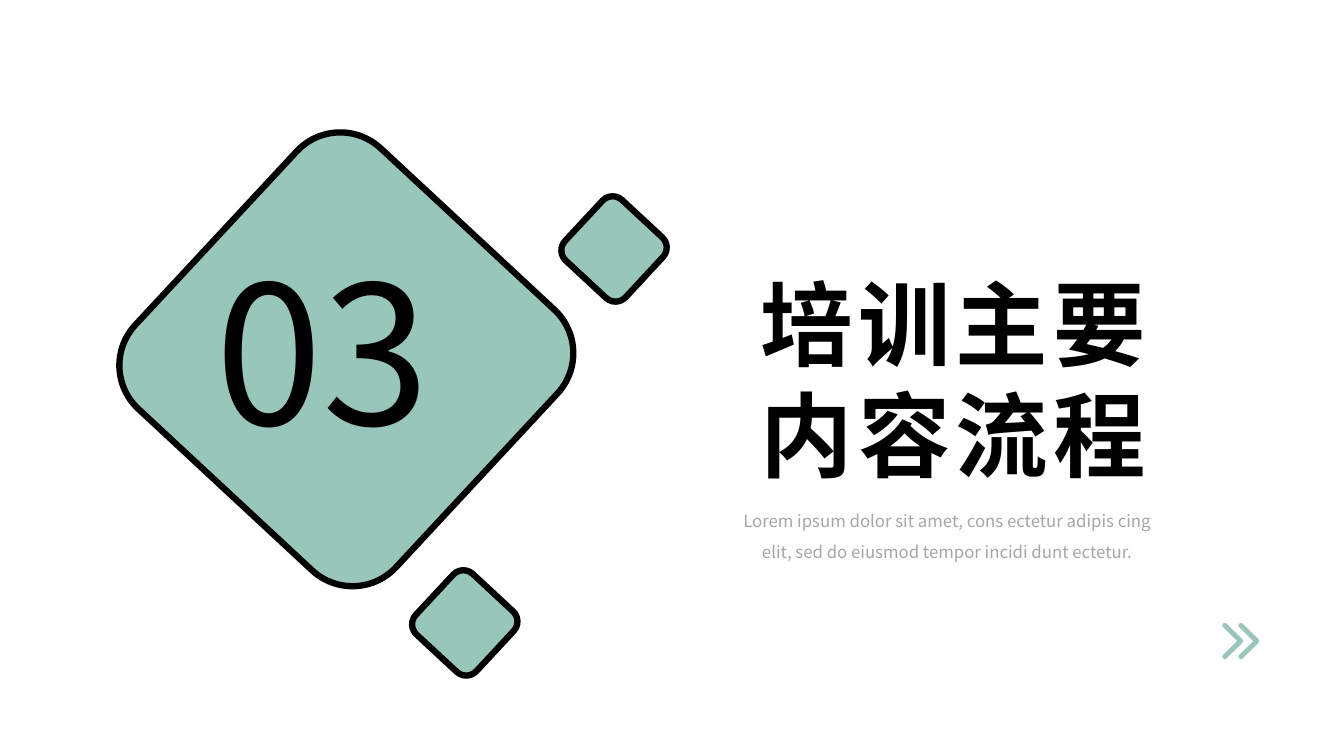
from pptx import Presentation
from pptx.dml.color import RGBColor
from pptx.enum.shapes import MSO_SHAPE
from pptx.enum.text import MSO_ANCHOR, PP_ALIGN
from pptx.oxml.ns import qn
from pptx.util import Inches, Pt
from lxml import etree

ROUNDED = MSO_SHAPE.ROUNDED_RECTANGLE
TOP = MSO_ANCHOR.TOP
LEFT, CENTER = PP_ALIGN.LEFT, PP_ALIGN.CENTER
GREEN, BLACK, GREY = "97C6BB", "000000", "A6A6A6"
SC, JP = "Noto Sans CJK SC", "Noto Sans CJK JP"


def rgb(value):
    return RGBColor.from_string(value)


def add_run(p, text, size, font, color, bold=False):
    r = p.add_run()
    r.text = text
    r.font.size = Pt(size)
    r.font.name = font
    r.font.bold = bold
    r.font.color.rgb = rgb(color)
    etree.SubElement(r.font._element, qn("a:ea")).set("typeface", font)
    return r


prs = Presentation()
prs.slide_width, prs.slide_height = Inches(13.33), Inches(7.5)
slide = prs.slides.add_slide(prs.slide_layouts[0])
title, subtitle = slide.placeholders

for left, top, side in [(1.67, 1.8, 3.53), (5.68, 2.06, 0.82), (4.2, 5.77, 0.82)]:
    sp = slide.shapes.add_shape(ROUNDED, Inches(left), Inches(top), Inches(side), Inches(side))
    sp.rotation = 42.9
    sp.shadow.inherit = False
    sp.fill.solid()
    sp.fill.fore_color.rgb = rgb(GREEN)
    sp.line.color.rgb = rgb(BLACK)
    sp.line.width = Pt(4.5)

number = slide.shapes.add_textbox(Inches(2.04), Inches(2.26), Inches(2.54), Inches(2.42))
number.text_frame.word_wrap = True
add_run(number.text_frame.paragraphs[0], "03", 138, SC, BLACK)

title.left, title.top, title.width, title.height = map(Inches, (7.44, 2.6, 4.14, 2.32))
tf = title.text_frame
tf.word_wrap = False
tf.vertical_anchor = TOP
for i, line in enumerate(["培训主要", "内容流程"]):
    p = tf.add_paragraph() if i else tf.paragraphs[0]
    p.alignment = LEFT
    r = add_run(p, line, 66, JP, BLACK, True)
    r.font._element.set("spc", "400")

subtitle.left, subtitle.top, subtitle.width, subtitle.height = map(Inches, (7.13, 4.92, 4.53, 0.67))
tf = subtitle.text_frame
tf.word_wrap = True
tf.vertical_anchor = TOP
p = tf.paragraphs[0]
p.alignment = CENTER
p.line_spacing = 1.5
p.space_before = Pt(0)
add_run(p, "Lorem ipsum dolor sit amet, cons ectetur adipis cing elit, sed do eiusmod tempor incidi dunt ectetur.", 12, JP, GREY)

upper = [(10, -140), (2, -155), (10, -172), (27, -180), (45, -172), (200, -20)]
lower = [(x, -y) for x, y in reversed(upper)]
chevron = [(150, 0)] + upper + [(210, 0)] + lower
arrow = slide.shapes.build_freeform(12270, 6360, scale=Inches(1) / 1000)
for left in (12120, 12280):
    points = [(left + x, 6360 + y) for x, y in chevron]
    arrow.move_to(*points[0])
    arrow.add_line_segments(points[1:])
sp = arrow.convert_to_shape()
sp.shadow.inherit = False
sp.fill.solid()
sp.fill.fore_color.rgb = rgb(GREEN)
sp.line.fill.background()

prs.save("out.pptx")
